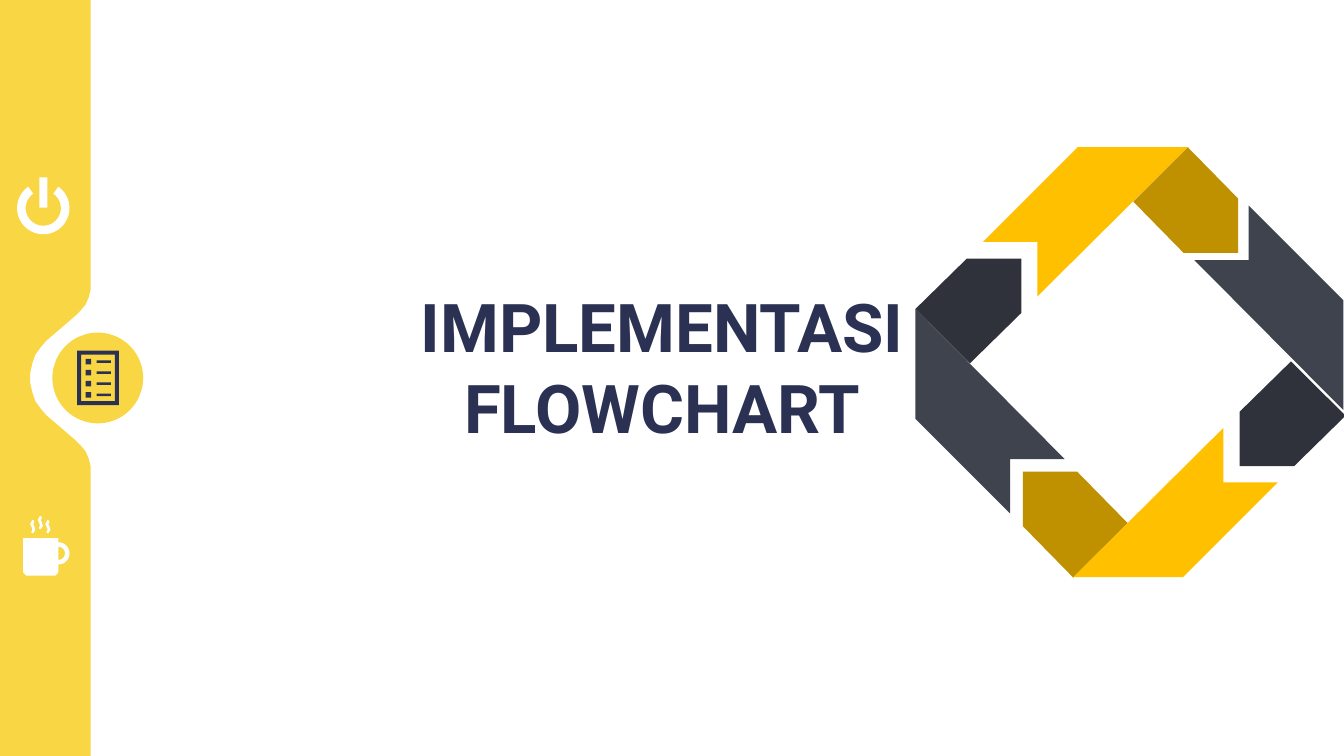
"""Build a title slide with an icon sidebar and a folded ribbon ring."""
import math
import pptx
import pptx.util
import pptx.dml.color
import pptx.enum.shapes
import pptx.enum.text

GOLD, NAVY, WHITE = "F9D644", "2B3152", "FFFFFF"
COLS, ROWS = 1333, 750

deck = pptx.Presentation()
deck.slide_width = pptx.util.Inches(13.33)
deck.slide_height = pptx.util.Inches(7.5)
cell = deck.slide_width / COLS
slide = deck.slides.add_slide(deck.slide_layouts[6])
shapes = slide.shapes
tint = pptx.dml.color.RGBColor.from_string


def paint(shape, color):
    shape.fill.solid()
    shape.fill.fore_color.rgb = tint(color)
    shape.line.fill.background()
    shape.shadow.inherit = False


def block(x, y, wide, high):
    return [(x, y), (x + wide, y), (x + wide, y + high), (x, y + high)]


def write(text, box, font="Roboto", size=48, color=NAVY, bold=True):
    label = shapes.add_textbox(*[round(n * cell) for n in box])
    frame = label.text_frame
    frame.word_wrap = True
    frame.vertical_anchor = pptx.enum.text.MSO_ANCHOR.MIDDLE
    frame.margin_left = frame.margin_right = 0
    frame.margin_top = frame.margin_bottom = 0
    line = frame.paragraphs[0]
    line.alignment = pptx.enum.text.PP_ALIGN.CENTER
    run = line.add_run()
    run.text = text
    run.font.name, run.font.size = font, pptx.util.Pt(size)
    run.font.bold, run.font.color.rgb = bold, tint(color)


disc = [round(n * cell) for n in (52, 330, 90, 90)]
paint(shapes.add_shape(pptx.enum.shapes.MSO_SHAPE.OVAL, *disc), GOLD)

menu = [block(76.5, 348, 41.5, 54), block(80.5, 352, 33.5, 46)[::-1]]
for row in range(4):
    top = 356 + 11 * row
    menu += [block(85, top, 5.5, 5.5), block(96, top + 1.5, 14, 2.5)]

curve = [(90, 284), (90, 287), (88, 295), (85, 302), (80, 308), (74, 314),
         (67, 320), (60, 326), (53, 332), (46, 338), (40, 345), (35, 352),
         (32, 361), (30, 370)]
lower = [(x, ROWS - y) for x, y in reversed(curve)]
side = [(0, 0), (90, 0)] + curve + [(30, 375)] + lower + [(90, ROWS), (0, ROWS)]

mug = [(23, 534), (58, 534), (58, 568), (55, 571), (26, 571), (23, 568)]
icons = [mug, block(39, 176, 8, 30)]
for x, y, outer, inner, start, end in [(43, 206.5, 26, 17.5, 35, 325),
                                       (58, 549, 11, 6.5, 0, 180)]:
    turns = [math.radians(a) for a in range(start, end + 1, 10)]
    ring = [(x + outer * math.sin(a), y - outer * math.cos(a)) for a in turns]
    ring += [(x + inner * math.sin(a), y - inner * math.cos(a))
             for a in reversed(turns)]
    icons.append(ring)

steam = [(35, 525), (34, 522), (33, 520), (34, 518), (34, 517), (33, 516),
         (32, 516), (30, 520), (32, 524), (32, 526), (31, 528), (32, 529),
         (33, 529), (35, 526)]
for right, up in [(0, 0), (7.5, 4), (15, 0)]:
    icons.append([(x + right, y - up) for x, y in steam])

forms = [(menu, NAVY), ([side], GOLD), (icons, WHITE)]

head = [(0, 0), (-50, -51), (4, -105), (54, -54), (54, 0)]
band = [(0, 0), (-54, 0), (40, -94), (149, -94), (0, 54)]
folds = [
    (head, [(1174, 251), (1229.5, 408.5), (1068.5, 468), (1013, 310.5)],
     ["BF9000", "2F323A"]),
    (band, [(1029, 240), (1238.5, 258), (1213.5, 478.5), (1002, 455.5)],
     ["FFC000", "3F434D"]),
]
for outline, spots, colors in folds:
    for turn, (left, top) in enumerate(spots):
        piece = [(left + x, top + y) for x, y in outline]
        forms.append(([piece], colors[turn % 2]))
        outline = [(-y, x) for x, y in outline]

for parts, color in forms:
    pen = None
    for part in parts:
        first, *rest = [(x * cell, y * cell) for x, y in part]
        if pen:
            pen.move_to(*first)
        else:
            pen = shapes.build_freeform(*first, scale=1)
        pen.add_line_segments(rest, close=True)
    paint(pen.convert_to_shape(), color)

write("IMPLEMENTASI FLOWCHART", (343, 282.5, 628, 162))
deck.save("out.pptx")
